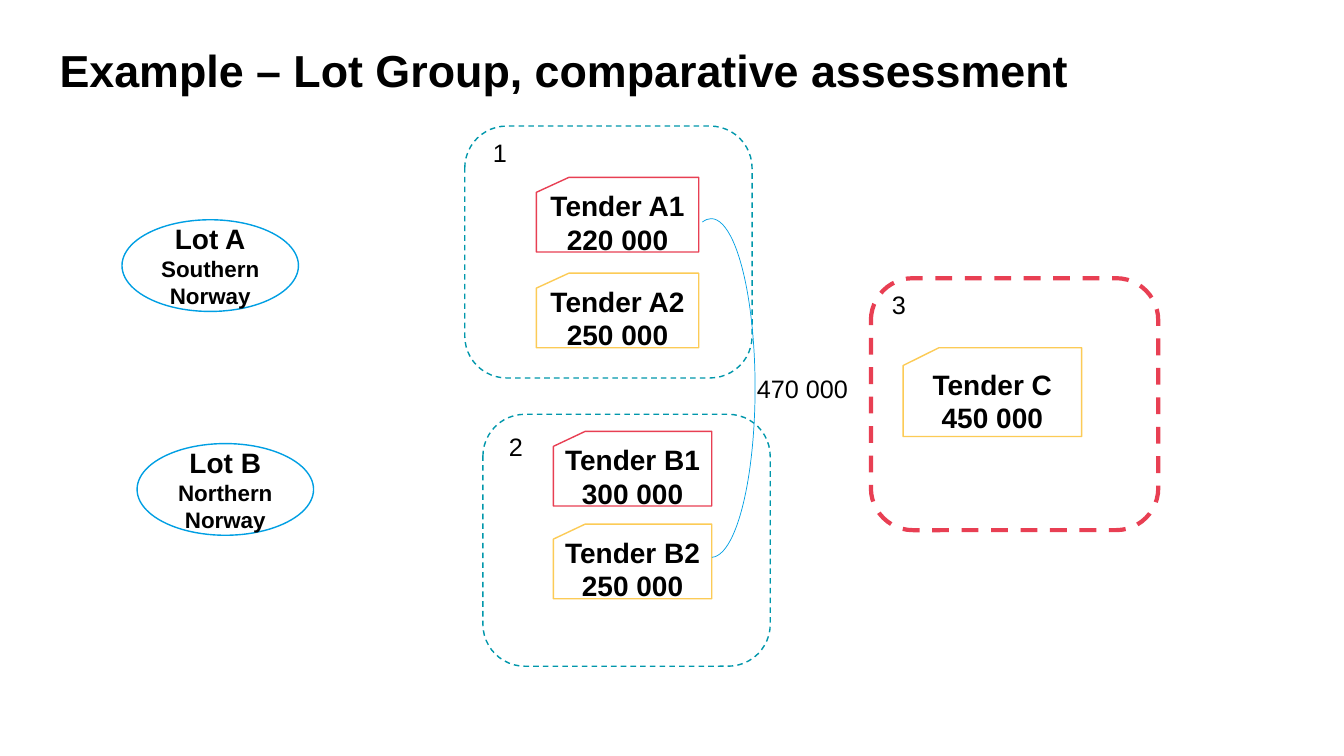
from dataclasses import dataclass

from pptx import Presentation
from pptx import util as u
from pptx.dml.color import RGBColor
from pptx.enum import dml, shapes, text


@dataclass(frozen=True)
class Theme:
    """Colours, type sizes and line widths."""
    font: str = "Arial"
    ink: str = "000000"
    paper: str = "FFFFFF"
    blue: str = "009FE3"
    teal: str = "0097AB"
    red: str = "E83F53"
    yellow: str = "FCCB56"
    title: int = 32
    name: int = 20
    label: int = 18
    detail: int = 16
    hairline: float = 0.5
    thin: float = 1
    thick: float = 3


@dataclass(frozen=True)
class Box:
    """A rectangle in grid columns and rows."""
    left: float
    top: float
    width: float
    height: float

    def inner(self, column, row, width, height):
        """Return a box placed from this box's top left corner."""
        return Box(self.left + column, self.top + row, width, height)

    def lengths(self):
        """Return left, top, width and height as slide lengths."""
        return (round(self.left * COLUMN), round(self.top * ROW),
                round(self.width * COLUMN), round(self.height * ROW))


THEME = Theme()
SLIDE_WIDTH, SLIDE_HEIGHT = u.Inches(13.33), u.Inches(7.5)
COLUMN, ROW = SLIDE_WIDTH / 100, SLIDE_HEIGHT / 100
PRESET = shapes.MSO_SHAPE


def write(frame, lines, *, sizes, bold=False, align=text.PP_ALIGN.LEFT,
          anchor=text.MSO_ANCHOR.TOP, spacing=None, inset=None):
    """Write one paragraph per line, each in its own size."""
    frame.word_wrap = True
    frame.vertical_anchor = anchor
    if inset is not None:
        frame.margin_left = frame.margin_right = inset
        frame.margin_top = frame.margin_bottom = inset
    for index, (line, size) in enumerate(zip(lines, sizes)):
        paragraph = frame.add_paragraph() if index else frame.paragraphs[0]
        paragraph.alignment = align
        paragraph.line_spacing = spacing
        run = paragraph.add_run()
        run.text = line
        run.font.name = THEME.font
        run.font.size = u.Pt(size)
        run.font.bold = bold
        run.font.color.rgb = RGBColor.from_string(THEME.ink)


def add_text(slide, box, line, size=THEME.label, **options):
    """Add a text box holding one line."""
    write(slide.shapes.add_textbox(*box.lengths()).text_frame, [line], sizes=[size], **options)


def add_outline(slide, preset, box, color, width=THEME.thin, fill=None, dashed=False):
    """Add an outlined preset shape."""
    shape = slide.shapes.add_shape(preset, *box.lengths())
    shape.shadow.inherit = False
    if fill:
        shape.fill.solid()
        shape.fill.fore_color.rgb = RGBColor.from_string(fill)
    else:
        shape.fill.background()
    shape.line.color.rgb = RGBColor.from_string(color)
    shape.line.width = u.Pt(width)
    if dashed:
        shape.line.dash_style = dml.MSO_LINE.DASH
    return shape


def add_node(slide, preset, box, color, lines, sizes):
    """Add a filled shape with bold centred text."""
    shape = add_outline(slide, preset, box, color, fill=THEME.paper)
    write(shape.text_frame, lines, sizes=sizes, bold=True,
          align=text.PP_ALIGN.CENTER, anchor=text.MSO_ANCHOR.MIDDLE)


def add_lot(slide, box, name, region):
    """Add a lot ellipse with its region."""
    add_node(slide, PRESET.OVAL, box, THEME.blue, [name, region], [THEME.name, THEME.detail])


def add_group(slide, box, number, label_at, first_card, pitch, tenders,
              color=THEME.teal, width=THEME.thin):
    """Add a numbered dashed frame around a stack of tender cards."""
    column, row, card_width, card_height = first_card
    for index, (name, price, card_color) in enumerate(tenders):
        card = box.inner(column, row + index * pitch, card_width, card_height)
        add_node(slide, PRESET.FLOWCHART_CARD, card, card_color, [name, price], [THEME.name] * 2)
    add_outline(slide, PRESET.ROUNDED_RECTANGLE, box, color, width, dashed=True)
    add_text(slide, box.inner(*label_at, 3.22, 5.33), number)


def add_total(slide, box):
    """Add the arc joining two tenders and their total."""
    arc = add_outline(slide, PRESET.ARC, box, THEME.blue, THEME.hairline)
    arc.adjustments[0], arc.adjustments[1] = 160.19, 53.85
    add_text(slide, box.inner(5.93, 19.74, 9.08, 5.33), "470 000")


def build_slide(slide):
    """Place the title, lots, tender groups and total."""
    add_text(slide, Box(4.43, 6.4, 91.05, 10.27), "Example – Lot Group, comparative assessment",
             THEME.title, bold=True, spacing=0.9, inset=0)
    add_lot(slide, Box(9.08, 29.07, 13.13, 12.13), "Lot A", "Southern Norway")
    add_lot(slide, Box(10.2, 58.67, 13.13, 12.13), "Lot B", "Northern Norway")
    group_size = 21.38, 33.33
    add_group(slide, Box(34.58, 16.67, *group_size), "1", (1.35, 0.8),
              (5.33, 6.8, 12.08, 9.87), 12.67,
              [("Tender A1", "220 000", THEME.red), ("Tender A2", "250 000", THEME.yellow)])
    add_group(slide, Box(35.93, 54.8, *group_size), "2", (1.2, 1.6),
              (5.25, 2.27, 11.78, 9.87), 12.27,
              [("Tender B1", "300 000", THEME.red), ("Tender B2", "250 000", THEME.yellow)])
    add_group(slide, Box(64.8, 36.8, *group_size), "3", (0.82, 0.8),
              (2.4, 9.2, 13.28, 11.73), 0,
              [("Tender C", "450 000", THEME.yellow)], THEME.red, THEME.thick)
    add_total(slide, Box(49.65, 28.93, 6.53, 44.8))


def main():
    """Build and save the presentation."""
    presentation = Presentation()
    presentation.slide_width, presentation.slide_height = SLIDE_WIDTH, SLIDE_HEIGHT
    build_slide(presentation.slides.add_slide(presentation.slide_layouts[6]))
    presentation.save("out.pptx")


main()
